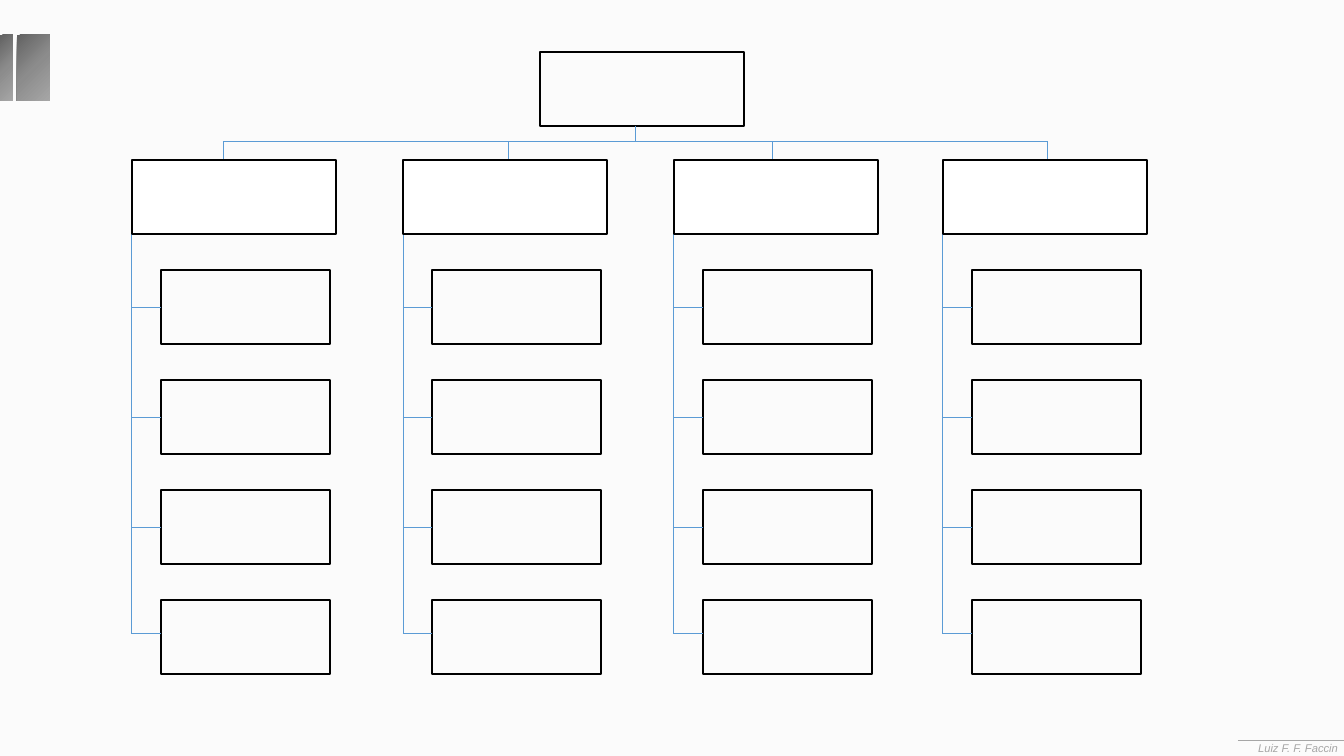
from copy import deepcopy
from dataclasses import dataclass

from lxml import etree
from pptx import Presentation
from pptx import util as u
from pptx.dml.color import RGBColor
from pptx.enum import shapes, text
from pptx.oxml import ns

PX = 914400 / 134.4  # EMU in one px


def px(length):
    return u.Emu(round(length * PX))


@dataclass(frozen=True)
class Theme:
    page: str = "FBFBFB"
    head: str = "FFFFFF"
    border: str = "000000"
    link: str = "5B9BD5"
    muted: str = "A6A6A6"
    accent: tuple = ((0, "626262"), (0.5, "8C8C8C"), (1, "A6A6A6"))
    font: str = "Arial"
    footer_size: float = 6
    border_width: float = 0.75
    link_width: float = 0.5


class Chart:
    def __init__(self, page, theme):
        self.page, self.theme = page, theme
        page.background.fill.solid()
        page.background.fill.fore_color.rgb = RGBColor.from_string(theme.page)

    def rect(self, left, top, width, height):
        shape = self.page.shapes.add_shape(
            shapes.MSO_SHAPE.RECTANGLE, *map(px, (left, top, width, height)))
        shape.shadow.inherit = False
        return shape

    def box(self, left, top, width, height, fill=None):
        shape = self.rect(left, top, width, height)
        if fill:
            shape.fill.solid()
            shape.fill.fore_color.rgb = RGBColor.from_string(fill)
        else:
            shape.fill.background()
        shape.line.color.rgb = RGBColor.from_string(self.theme.border)
        shape.line.width = u.Pt(self.theme.border_width)

    def accent(self, left, top, width, height):
        shape = self.rect(left, top, width, height)
        shape.line.fill.background()
        shape.fill.gradient()
        shape.fill.gradient_angle = 315
        # A new gradient has two stops; add the middle one
        first = shape._element.spPr.find(".//" + ns.qn("a:gs"))
        first.addnext(deepcopy(first))
        for stop, (position, color) in zip(shape.fill.gradient_stops, self.theme.accent):
            stop.position = position
            stop.color.rgb = RGBColor.from_string(color)

    def line(self, x1, y1, x2, y2, color=None):
        line = self.page.shapes.add_connector(
            shapes.MSO_CONNECTOR.STRAIGHT, *map(px, (x1, y1, x2, y2)))
        line.line.color.rgb = RGBColor.from_string(color or self.theme.link)
        line.line.width = u.Pt(self.theme.link_width)
        etree.SubElement(line._element.spPr, ns.qn("a:effectLst"))

    def label(self, words, left, top, width, height):
        frame = self.page.shapes.add_textbox(
            *map(px, (left, top, width, height))).text_frame
        layout = {"word_wrap": True, "vertical_anchor": text.MSO_ANCHOR.MIDDLE,
                  "margin_left": 0, "margin_right": 0,
                  "margin_top": 0, "margin_bottom": 0}
        for name, value in layout.items():
            setattr(frame, name, value)
        para = frame.paragraphs[0]
        para.alignment = text.PP_ALIGN.CENTER
        span = para.add_run()
        span.text = words
        style = {"name": self.theme.font, "size": u.Pt(self.theme.footer_size),
                 "italic": True}
        for name, value in style.items():
            setattr(span.font, name, value)
        span.font.color.rgb = RGBColor.from_string(self.theme.muted)


def main():
    deck = Presentation()
    deck.slide_width, deck.slide_height = px(1344), px(756)
    theme = Theme()
    chart = Chart(deck.slides.add_slide(deck.slide_layouts[6]), theme)

    # Page accents and footer
    chart.accent(17, 35, 33, 66)
    chart.accent(0, 35, 13, 66)
    chart.line(1238, 741, 1344, 741, theme.muted)
    chart.label("Luiz F. F. Faccin", 1252, 735, 92, 27)

    # Organisation grid
    head_width, leaf_width, height = 204, 169, 74
    root_top, bus, head_top = 52, 142, 160
    head_lefts = (132, 403, 674, 943)
    drops = (223, 509, 773, 1048)
    leaf_tops = [270 + 110 * row for row in range(4)]
    branches = (308, 418, 528, 634)
    indent = 29

    # Root and horizontal bus
    chart.box(540, root_top, head_width, height)
    chart.line(636, root_top + height, 636, bus)
    chart.line(drops[0], bus, drops[-1], bus)

    # Columns: drop, spine, leaves with branches, then the head
    for left, drop in zip(head_lefts, drops):
        chart.line(drop, bus, drop, head_top)
        chart.line(left, head_top + height, left, branches[-1])
        for top, branch in zip(leaf_tops, branches):
            chart.box(left + indent, top, leaf_width, height)
            chart.line(left, branch, left + indent, branch)
        chart.box(left, head_top, head_width, height, theme.head)

    deck.save("out.pptx")


if __name__ == "__main__":
    main()
